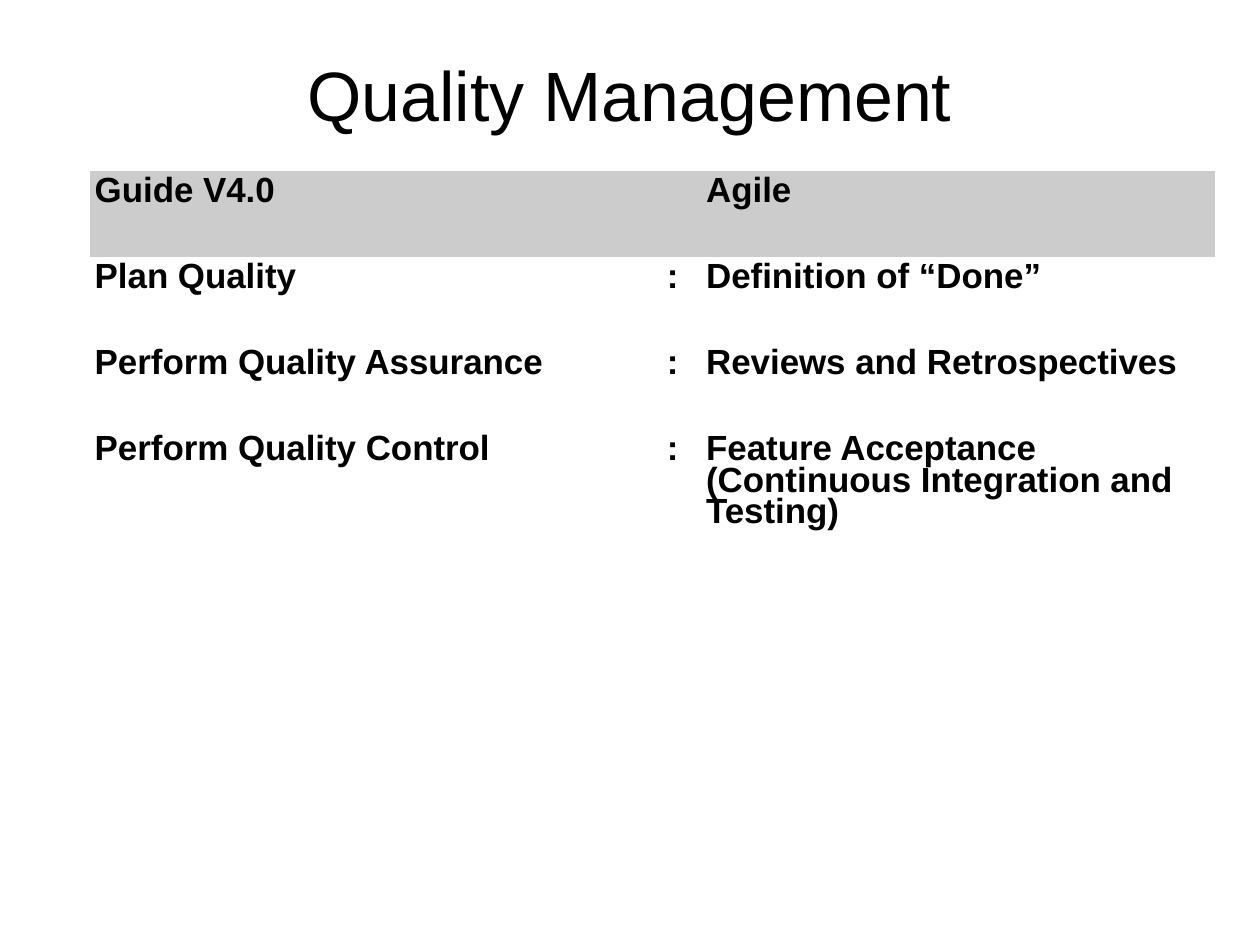
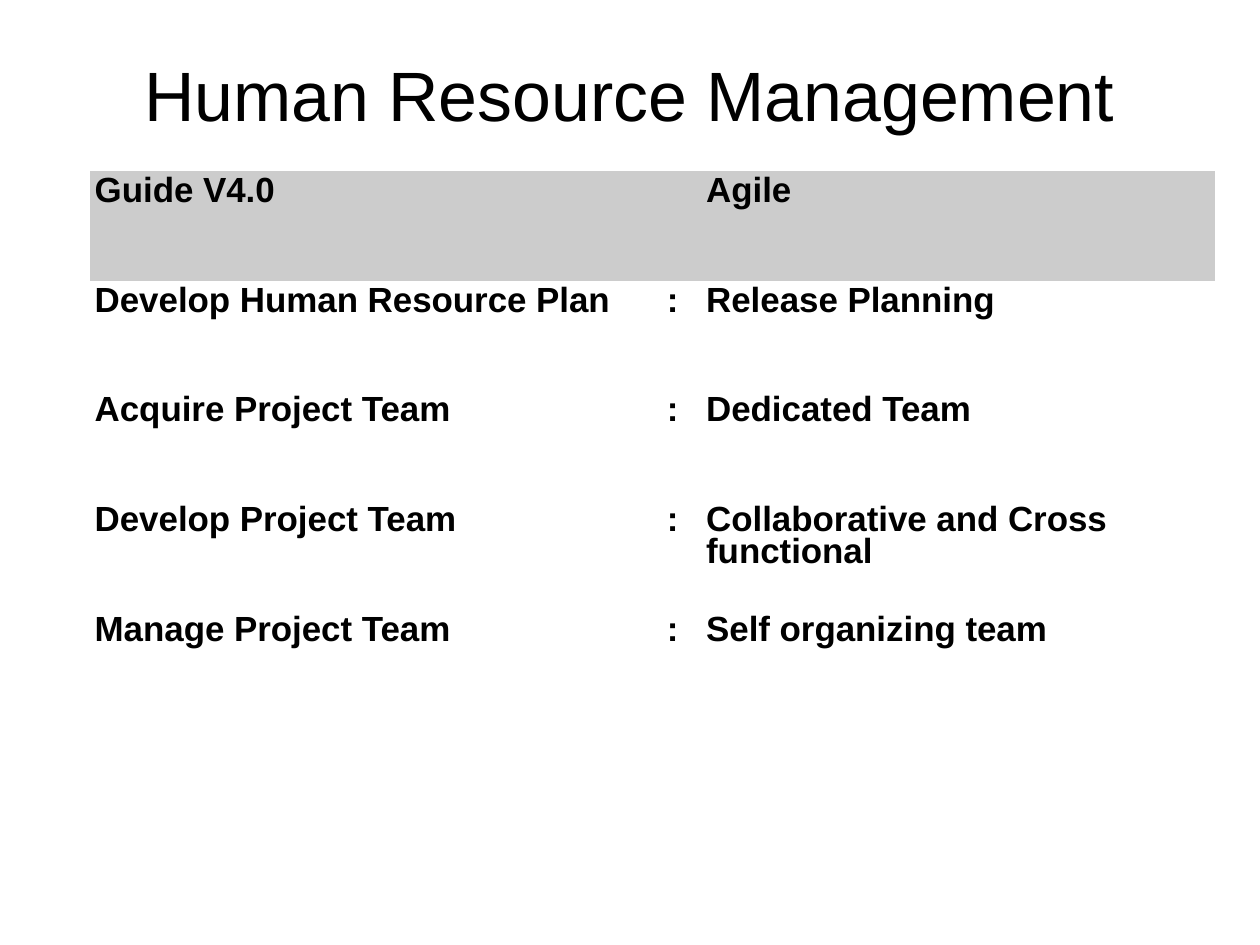
"""Build two slides that map guide processes to agile practices."""
from pptx import Presentation
from pptx.dml.color import RGBColor
from pptx.enum.text import MSO_ANCHOR as Anchor, PP_ALIGN as Align
from pptx.oxml.ns import qn
from pptx.util import Pt

BLACK = RGBColor(0x00, 0x00, 0x00)
WHITE = RGBColor(0xFF, 0xFF, 0xFF)
GREY = RGBColor(0xCC, 0xCC, 0xCC)
PLAIN_TABLE = "{2D5ABB26-0587-4C30-8999-92F81FD0307C}"

TITLE_BOX = (39.6, 23.8, 714.2, 72.7)
TABLE_ORIGIN = (56.9, 108)
COLUMN_WIDTHS = (348.5, 36.7, 323.3)
TITLE_FONT = {"name": "Arial", "size": Pt(44), "bold": False}
CELL_FONT = {"name": "Arial", "size": Pt(22), "bold": True}
TITLE_FRAME = {"word_wrap": True, "vertical_anchor": Anchor.MIDDLE, "margin_left": 0,
               "margin_top": Pt(2.8), "margin_right": 0, "margin_bottom": 0}
CELL_MARGINS = {"margin_left": Pt(2.8), "margin_top": Pt(3.6),
                "margin_right": Pt(2.8), "margin_bottom": Pt(3.6)}
TABLE_FLAGS = {"first_row": False, "horz_banding": False}
HEADING = ("Guide V4.0", "", "Agile")

TOPICS = [
    ("Quality Management", (54.2, 54.2, 54.2, 80.6), [
        ("Plan Quality", "Definition of “Done”"),
        ("Perform Quality Assurance", "Reviews and Retrospectives"),
        ("Perform Quality Control",
         "Feature Acceptance (Continuous Integration and Testing)"),
    ]),
    ("Human Resource Management", (69.1,) * 5, [
        ("Develop Human Resource Plan", "Release Planning"),
        ("Acquire Project Team", "Dedicated Team"),
        ("Develop Project Team", "Collaborative and Cross functional"),
        ("Manage Project Team", "Self organizing team"),
    ]),
]


def apply(target, values):
    """Set every named attribute on the target."""
    for name, value in values.items():
        setattr(target, name, value)


def write(frame, text, font, align, spacing):
    """Write one formatted paragraph into a text frame."""
    paragraph = frame.paragraphs[0]
    apply(paragraph, {"alignment": align, "line_spacing": spacing})
    apply(paragraph.font, font)
    if text:
        run = paragraph.add_run()
        run.text = text
        apply(run.font, font)
        run.font.color.rgb = BLACK


def add_title(slide, box, text):
    """Place the centred slide title in its box."""
    frame = slide.shapes.add_textbox(*map(Pt, box)).text_frame
    apply(frame, TITLE_FRAME)
    write(frame, text, TITLE_FONT, Align.CENTER, 0.93)


def add_comparison(slide, origin, heights, pairs):
    """Place the process and practice table at its origin."""
    rows = [HEADING] + [(process, ":", practice) for process, practice in pairs]
    size = (sum(COLUMN_WIDTHS), sum(heights))
    holder = slide.shapes.add_table(len(rows), len(COLUMN_WIDTHS),
                                    *map(Pt, origin + size))
    next(holder.element.iter(qn("a:tableStyleId"))).text = PLAIN_TABLE
    comparison = holder.table
    apply(comparison, TABLE_FLAGS)
    for column, width in zip(comparison.columns, COLUMN_WIDTHS):
        column.width = Pt(width)
    for index, (row, height, texts) in enumerate(zip(comparison.rows, heights, rows)):
        row.height = Pt(height)
        for cell, text in zip(row.cells, texts):
            apply(cell, CELL_MARGINS)
            cell.fill.solid()
            cell.fill.fore_color.rgb = WHITE if index else GREY
            align = Align.CENTER if text == ":" else Align.LEFT
            write(cell.text_frame, text, CELL_FONT, align, 0.81)


def main():
    """Build and save the presentation."""
    deck = Presentation()
    apply(deck, {"slide_width": Pt(793.7), "slide_height": Pt(595.3)})
    for title, heights, pairs in TOPICS:
        slide = deck.slides.add_slide(deck.slide_layouts[6])
        add_title(slide, TITLE_BOX, title)
        add_comparison(slide, TABLE_ORIGIN, heights, pairs)
    deck.save("out.pptx")


if __name__ == "__main__":
    main()
